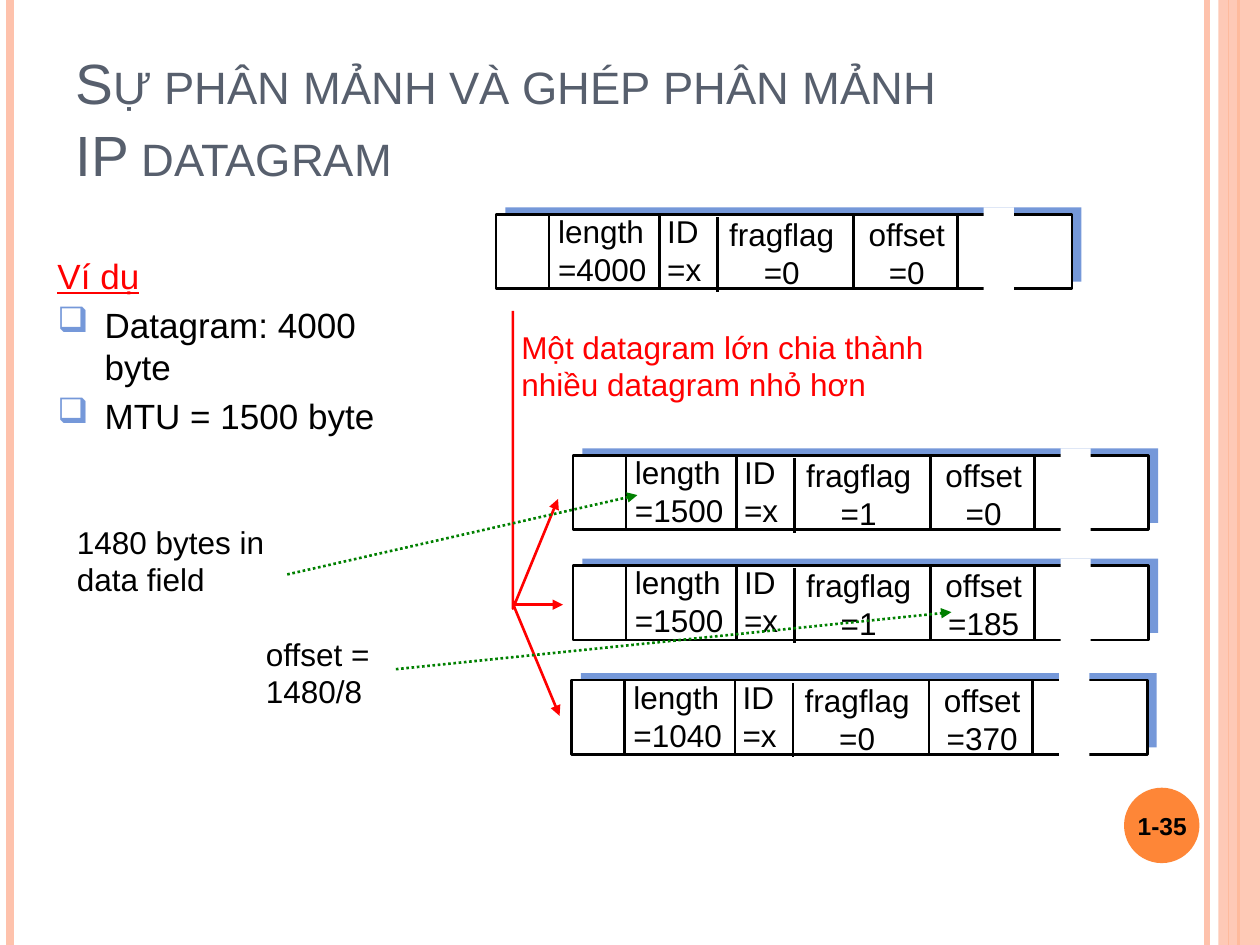
from dataclasses import dataclass

from lxml.etree import SubElement
from pptx import Presentation
from pptx.dml.color import RGBColor
from pptx.enum.dml import MSO_LINE
from pptx.enum.shapes import MSO_CONNECTOR, MSO_SHAPE
from pptx.enum.text import MSO_ANCHOR, PP_ALIGN
from pptx.oxml.ns import qn
from pptx.util import Cm, Pt


@dataclass(frozen=True)
class Theme:
    font: str = "Arial"
    black: RGBColor = RGBColor(0, 0, 0)
    white: RGBColor = RGBColor(255, 255, 255)
    slate: RGBColor = RGBColor(0x57, 0x5F, 0x6D)
    peach: RGBColor = RGBColor(0xFE, 0xC2, 0xAC)
    orange: RGBColor = RGBColor(0xFE, 0x86, 0x37)
    blue: RGBColor = RGBColor(0x75, 0x98, 0xD9)
    red: RGBColor = RGBColor(255, 0, 0)
    green: RGBColor = RGBColor(0, 0x80, 0)
    title_size: float = 32.4
    list_size: float = 20
    label_size: float = 18
    number_size: float = 14
    line_width: float = 1.5


theme = Theme()


def add_text(shapes, box, text, color=theme.black, size=theme.label_size,
             align=PP_ALIGN.LEFT):
    shape = shapes.add_textbox(*map(Cm, box))
    shape.text_frame.word_wrap = False
    shape.text_frame.text = text
    for paragraph in shape.text_frame.paragraphs:
        paragraph.alignment = align
        for run in paragraph.runs:
            run.font.name = theme.font
            run.font.size = Pt(size)
            run.font.color.rgb = color
    return shape


def style_line(shape, color, width=theme.line_width, dash=None, arrow=False):
    shape.line.color.rgb = color
    shape.line.width = Pt(width)
    if dash is not None:
        shape.line.dash_style = dash
    properties = shape.element.spPr
    if arrow:
        SubElement(properties.find(qn("a:ln")), qn("a:tailEnd"), type="triangle")
    SubElement(properties, qn("a:effectLst"))


presentation = Presentation()
presentation.slide_width = Cm(25.4)
presentation.slide_height = Cm(19.05)
slide = presentation.slides.add_slide(presentation.slide_layouts[5])
shapes = slide.shapes

# Side stripes and page number
stripes = [
    (24.33, theme.peach, 3),
    (0.2, theme.peach, 4.5),
    (24.97, theme.orange, 1.5),
    (24.77, theme.orange, 0.75),
]
for x, color, width in stripes:
    stripe = shapes.add_connector(MSO_CONNECTOR.STRAIGHT, Cm(x), 0, Cm(x), Cm(19.05))
    style_line(stripe, color, width)

decorations = [
    (MSO_SHAPE.RECTANGLE, (24.56, 0, 0.84, 19.05), theme.peach),
    (MSO_SHAPE.OVAL, (22.66, 15.88, 1.52, 1.52), theme.orange),
]
for kind, box, color in decorations:
    decoration = shapes.add_shape(kind, *map(Cm, box))
    decoration.shadow.inherit = False
    decoration.fill.solid()
    decoration.fill.fore_color.rgb = color
    decoration.line.fill.background()
    if kind == MSO_SHAPE.RECTANGLE:
        for fill_color in decoration.element.spPr.iter(qn("a:srgbClr")):
            SubElement(fill_color, qn("a:alpha"), val="87000")

number = add_text(shapes, (22.58, 15.93, 1.7, 1.45), "1-35",
                  size=theme.number_size, align=PP_ALIGN.CENTER)
number.text_frame.vertical_anchor = MSO_ANCHOR.MIDDLE
number.text_frame.paragraphs[0].runs[0].font.bold = True

# Title
title = shapes.title
title.left, title.top, title.width, title.height = map(Cm, (1.27, 0.76, 20.75, 3.18))
title.text_frame.text = "Sự phân mảnh và ghép phân mảnh\vIP datagram"
title.text_frame.vertical_anchor = MSO_ANCHOR.TOP
paragraph = title.text_frame.paragraphs[0]
paragraph.alignment = PP_ALIGN.LEFT
paragraph.line_spacing = 1.06
for run in paragraph.runs:
    run.font.name = theme.font
    run.font.size = Pt(theme.title_size)
    run.font.color.rgb = theme.slate
    run.font.element.set("cap", "small") if hasattr(run.font, "element") else \
        run._r.get_or_add_rPr().set("cap", "small")

# Datagrams: left, top, then the header values
datagrams = [
    (10, 4.32, "4000", "0", "0"),
    (11.55, 9.18, "1500", "1", "0"),
    (11.55, 11.4, "1500", "1", "185"),
    (11.52, 13.71, "1040", "0", "370"),
]
bar_width, bar_height = 11.61, 1.5
dividers = [(1.07, 0), (3.3, 0), (4.47, 0.06), (7.21, 0), (9.3, 0)]
for left, top, length, flag, offset in datagrams:
    parts = shapes.add_group_shape().shapes
    bars = [
        (0.19, -0.14, bar_width, bar_height, theme.blue),
        (0, 0, bar_width, bar_height, theme.white),
        (9.83, -0.14, 0.61, 1.68, theme.white),
    ]
    back, front, gap = [
        parts.add_shape(MSO_SHAPE.RECTANGLE, Cm(left + x), Cm(top + y), Cm(w), Cm(h))
        for x, y, w, h, _ in bars
    ]
    for bar, (*_, color) in zip((back, front, gap), bars):
        bar.shadow.inherit = False
        bar.fill.solid()
        bar.fill.fore_color.rgb = color
        bar.line.fill.background()
    front.line.color.rgb = theme.black
    front.line.width = Pt(theme.line_width)

    fields = [
        (1, -0.17, 2.29, f"length\n={length}", PP_ALIGN.LEFT),
        (3.2, -0.17, 1.2, "ID\n=x", PP_ALIGN.LEFT),
        (4.45, -0.11, 2.62, f"fragflag\n={flag}", PP_ALIGN.CENTER),
        (7.25, -0.11, 2.06, f"offset\n={offset}", PP_ALIGN.CENTER),
    ]
    for x, y, width, text, align in fields:
        add_text(parts, (left + x, top + y, width, 1.78), text, align=align)
    for x, y in dividers:
        divider = parts.add_connector(
            MSO_CONNECTOR.STRAIGHT, Cm(left + x), Cm(top + y),
            Cm(left + x), Cm(top + y + bar_height))
        style_line(divider, theme.black)

# Red branches from the large datagram to its fragments
builder = shapes.build_freeform(Cm(10.34), Cm(6.27))
builder.add_line_segments([(Cm(10.34), Cm(12.27)), (Cm(11.25), Cm(10.06))], close=False)
trunk = builder.convert_to_shape()
trunk.fill.background()
style_line(trunk, theme.red, arrow=True)

arrows = [
    (10.34, 12.19, 11.35, 12.19, theme.red, None),
    (10.36, 12.22, 11.28, 14.43, theme.red, None),
    (5.79, 11.58, 12.85, 9.98, theme.green, MSO_LINE.ROUND_DOT),
    (7.98, 13.49, 19.18, 12.34, theme.green, MSO_LINE.ROUND_DOT),
]
for *ends, color, dash in arrows:
    arrow = shapes.add_connector(MSO_CONNECTOR.STRAIGHT, *map(Cm, ends))
    style_line(arrow, color, dash=dash, arrow=True)

# Notes
add_text(shapes, (10.26, 6.48, 8.79, 1.78),
         "Một datagram lớn chia thành\nnhiều datagram nhỏ hơn", theme.red)
add_text(shapes, (1.3, 10.41, 4.47, 1.78), "1480 bytes in \vdata field")
add_text(shapes, (5.11, 12.67, 2.62, 1.78), "offset =\n1480/8")

example = add_text(shapes, (0.91, 5, 7.87, 4.67),
                   "Ví dụ\nDatagram: 4000 byte\nMTU = 1500 byte", size=theme.list_size)
example.text_frame.word_wrap = True
heading, *items = example.text_frame.paragraphs
heading.runs[0].font.color.rgb = theme.red
heading.runs[0].font.underline = True
for item in items:
    item.space_before = Pt(4)
    properties = item._p.get_or_add_pPr()
    properties.set("marL", str(Cm(0.95)))
    properties.set("indent", str(-Cm(0.95)))
    bullet_color = SubElement(properties, qn("a:buClr"))
    SubElement(bullet_color, qn("a:srgbClr"), val=str(theme.blue))
    SubElement(properties, qn("a:buChar"), char="❑")

presentation.save("out.pptx")
